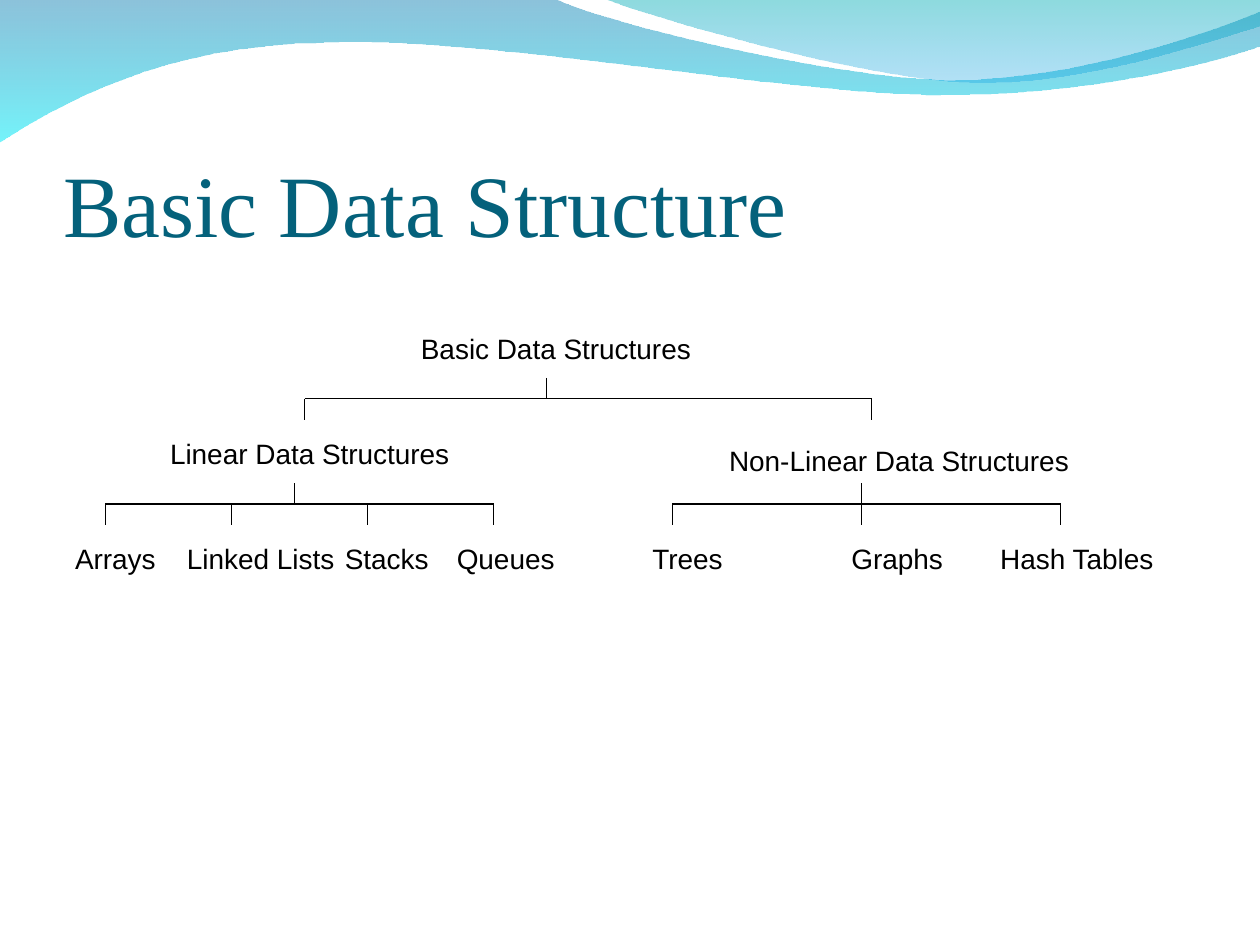
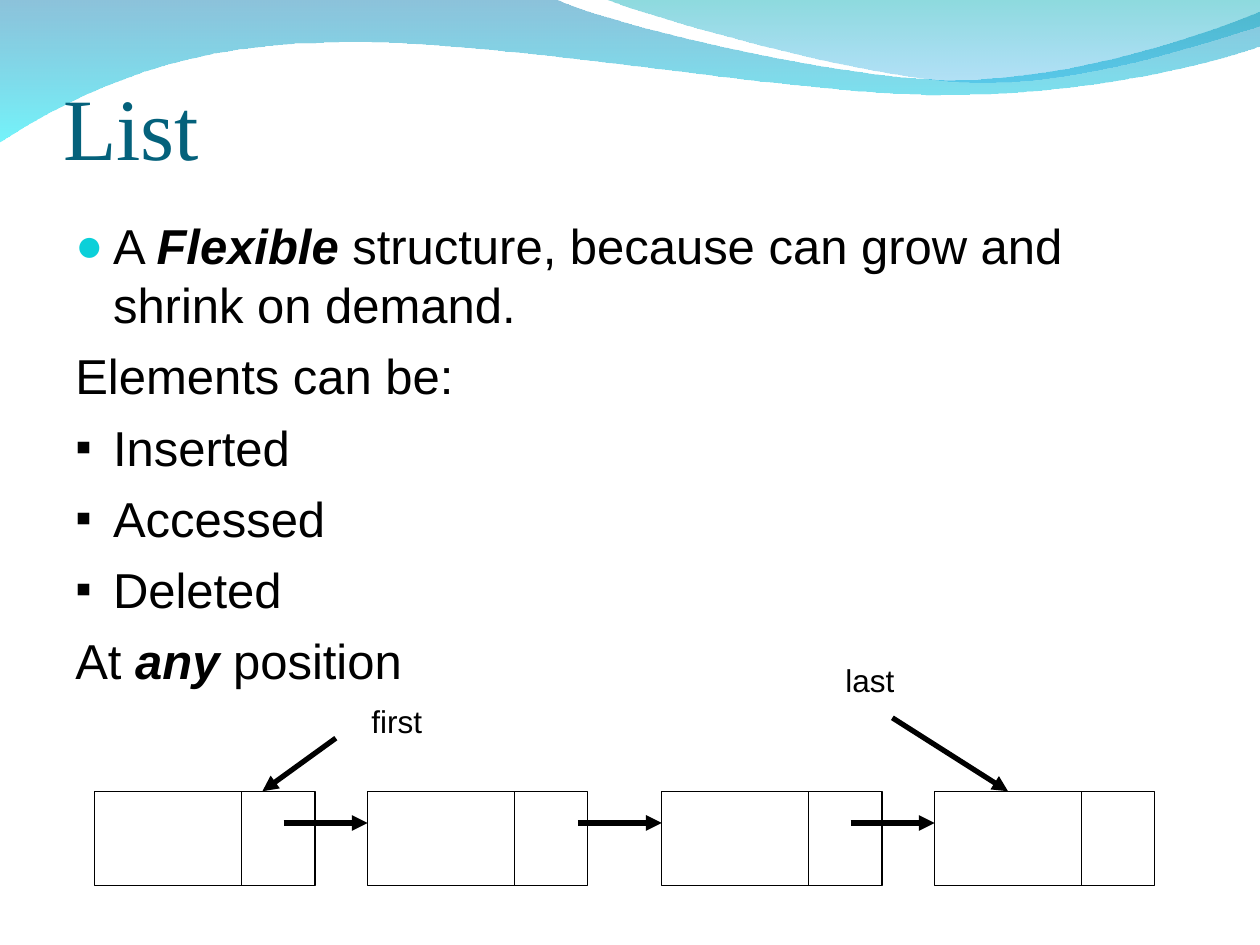
import pptx
import pptx.util
import pptx.dml.color
import pptx.enum.shapes
import pptx.enum.text
import pptx.oxml
import pptx.oxml.ns

Cm, Pt = pptx.util.Cm, pptx.util.Pt
RGB = pptx.dml.color.RGBColor.from_string
qn = pptx.oxml.ns.qn
ALIGN = pptx.enum.text.PP_ALIGN

COLORS = {
    "title": "04617B", "ink": "000000", "bullet": "0BD0D9",
    "wave_blue": "0079AF", "wave_cyan": "00EBF8",
    "wave_teal": "00ADB6", "wave_sky": "009BE5",
}


def add_line(shapes, x1, y1, x2, y2, width=0.75, arrow=False):
    c = shapes.add_connector(pptx.enum.shapes.MSO_CONNECTOR.STRAIGHT, Cm(x1), Cm(y1), Cm(x2), Cm(y2))
    c.line.color.rgb = RGB(COLORS["ink"])
    c.line.width = Pt(width)
    sp_pr = c.element.spPr
    if arrow:
        ln = sp_pr.find(qn("a:ln"))
        ln.append(ln.makeelement(qn("a:tailEnd"), {"type": "triangle"}))
    sp_pr.append(sp_pr.makeelement(qn("a:effectLst"), {}))


def add_label(s, text, left, top, width, size):
    tb = s.shapes.add_textbox(Cm(left), Cm(top), Cm(width), Cm(0.94))
    tb.text_frame.word_wrap = True
    p = tb.text_frame.paragraphs[0]
    p.text = text
    p.alignment = ALIGN.RIGHT
    p.font.name = "Arial"
    p.font.size = Pt(size)
    p.font.color.rgb = RGB(COLORS["ink"])


prs = pptx.Presentation()
prs.slide_width, prs.slide_height = Cm(25.4), Cm(19.05)
layout = prs.slide_layouts[5]

slides = []
for title, top, height in [("Basic Data Structure", 1.97, 3.17), ("List", 1.6, 1.98)]:
    s = prs.slides.add_slide(layout)
    t = s.shapes.title
    t.left, t.top, t.width, t.height = Cm(1.27), Cm(top), Cm(22.86), Cm(height)
    tf = t.text_frame
    tf.auto_size = pptx.enum.text.MSO_AUTO_SIZE.NONE
    tf.vertical_anchor = pptx.enum.text.MSO_ANCHOR.BOTTOM
    tf.margin_left = tf.margin_right = tf.margin_bottom = 0
    tf.margin_top = Cm(0.13)
    p = tf.paragraphs[0]
    p.text = title
    p.alignment = ALIGN.LEFT
    p.font.name = "Times New Roman"
    p.font.size = Pt(50)
    p.font.color.rgb = RGB(COLORS["title"])
    slides.append(s)
tree_slide, list_slide = slides

waves = [
    ((0, -0.03), [
        [(11.18, -0.03)],
        [(12.09, 0.43), (16.87, 1.6), (19.25, 1.6)],
        [(21.67, 1.6), (24.33, 0.66), (25.4, 0.23)],
        [(25.43, 0.91)],
        [(24.97, 1.12), (22.1, 1.93), (18.95, 1.91)],
        [(15.8, 1.91), (9.7, 0.71), (6.53, 0.86)],
        [(3.28, 0.89), (1.17, 2.11), (-0.03, 2.87)],
    ], [("wave_blue", 45), ("wave_cyan", 55)]),
    ((12.17, -0.03), [
        [(12.93, 0.28), (17.32, 1.57), (19.53, 1.65)],
        [(21.74, 1.75), (24.41, 0.81), (25.4, 0.53)],
        [(25.4, 0)],
    ], [("wave_teal", 45), ("wave_sky", 30)]),
]
for start, segments, stops in waves:
    fb = tree_slide.shapes.build_freeform(Cm(start[0]), Cm(start[1]))
    fb.add_line_segments([(Cm(x), Cm(y)) for seg in segments for x, y in seg], close=True)
    wave = fb.convert_to_shape()
    wave.shadow.inherit = False
    wave.line.fill.background()
    wave.fill.gradient()
    wave.fill.gradient_angle = 270
    for stop, (color, _) in zip(wave.fill.gradient_stops, stops):
        stop.color.rgb = RGB(COLORS[color])
    sp_pr = wave.element.spPr
    for clr, (_, opacity) in zip(sp_pr.find(qn("a:gradFill")).iter(qn("a:srgbClr")), stops):
        clr.append(clr.makeelement(qn("a:alpha"), {"val": str(opacity * 1000)}))
    steps = iter(list(sp_pr.iter(qn("a:lnTo"))))
    for seg in segments:
        group = [next(steps) for _ in seg]
        if len(seg) == 3:
            curve = sp_pr.makeelement(qn("a:cubicBezTo"), {})
            group[0].addprevious(curve)
            for step in group:
                curve.append(step[0])
                step.getparent().remove(step)
    prs.slide_master.placeholders[0].element.addprevious(wave.element)

for text, left, top, width in [
    ("Basic Data Structures", 7.2, 6.55, 6.98),
    ("Linear Data Structures", 2.33, 8.68, 6.98),
    ("Non-Linear Data Structures", 13.55, 8.81, 8.25),
    ("Arrays", 1.06, 10.8, 2.33),
    ("Linked Lists", 3.18, 10.8, 3.81),
    ("Stacks", 6.56, 10.8, 2.33),
    ("Queues", 8.68, 10.8, 2.75),
    ("Trees", 12.49, 10.8, 2.33),
    ("Graphs", 16.09, 10.8, 3.17),
    ("Hash Tables", 19.48, 10.8, 4.02),
]:
    add_label(tree_slide, text, left, top, width, 16)

TICK = 0.42
for stem, bar, drops in [
    (11.01, 8.04, [6.14, 17.57]),
    (5.93, 10.16, [2.12, 4.66, 7.41, 9.95]),
    (17.36, 10.16, [13.55, 17.36, 21.38]),
]:
    add_line(tree_slide.shapes, drops[0], bar, drops[-1], bar)
    add_line(tree_slide.shapes, stem, bar - TICK, stem, bar)
    for x in drops:
        add_line(tree_slide.shapes, x, bar, x, bar + TICK)

tf = list_slide.shapes.add_textbox(Cm(1.27), Cm(4.23), Cm(22.86), Cm(12.78)).text_frame
tf.word_wrap = True
for i, (bullet, color, parts) in enumerate([
    ("●", "bullet", ["A ", "Flexible ", "structure, because can grow and shrink on demand."]),
    (None, None, ["Elements can be:"]),
    ("▪", "ink", ["Inserted"]),
    ("▪", "ink", ["Accessed"]),
    ("▪", "ink", ["Deleted"]),
    (None, None, ["At ", "any ", "position"]),
]):
    p = tf.paragraphs[0] if i == 0 else tf.add_paragraph()
    p.space_before = Pt(7)
    p.font.name = "Arial"
    p.font.size = Pt(28)
    p.font.color.rgb = RGB(COLORS["ink"])
    for k, part in enumerate(parts):
        r = p.add_run()
        r.text = part
        if k == 1:
            r.font.bold = r.font.italic = True
    p_pr = p._p.get_or_add_pPr()
    p_pr.set("marL", str(Cm(0.76)))
    p_pr.set("indent", str(-Cm(0.76)))
    if bullet:
        bu_clr = p_pr.makeelement(qn("a:buClr"), {})
        bu_clr.append(bu_clr.makeelement(qn("a:srgbClr"), {"val": COLORS[color]}))
        marks = [
            bu_clr,
            p_pr.makeelement(qn("a:buSzPct"), {"val": "95000"}),
            p_pr.makeelement(qn("a:buFont"), {"typeface": "Arial"}),
            p_pr.makeelement(qn("a:buChar"), {"char": bullet}),
        ]
    else:
        marks = [p_pr.makeelement(qn("a:buNone"), {})]
    for n, mark in enumerate(marks):
        p_pr.insert(1 + n, mark)

NODE_TOP, NODE_W, NODE_H, DATA_W = 15.95, 4.44, 1.9, 2.96
nodes = [1.91, 7.41, 13.34, 18.84]
for x in nodes:
    g = list_slide.shapes.add_group_shape()
    sp = g.shapes.add_shape(pptx.enum.shapes.MSO_SHAPE.RECTANGLE, Cm(x), Cm(NODE_TOP), Cm(NODE_W), Cm(NODE_H))
    sp.shadow.inherit = False
    sp.fill.background()
    sp.line.color.rgb = RGB(COLORS["ink"])
    sp.line.width = Pt(0.75)
    add_line(g.shapes, x + DATA_W, NODE_TOP, x + DATA_W, NODE_TOP + NODE_H)
for x in nodes[1:]:
    add_line(list_slide.shapes, x - 1.69, 16.59, x, 16.59, 3, True)

for text, left, top, tail, head in [
    ("first", 7.14, 14.02, (6.77, 14.88), 5.29),
    ("last", 16.66, 13.2, (17.99, 14.47), 20.32),
]:
    add_line(list_slide.shapes, *tail, head, NODE_TOP, 3, True)
    add_label(list_slide, text, left, top, 1.62, 18)

prs.save("out.pptx")
